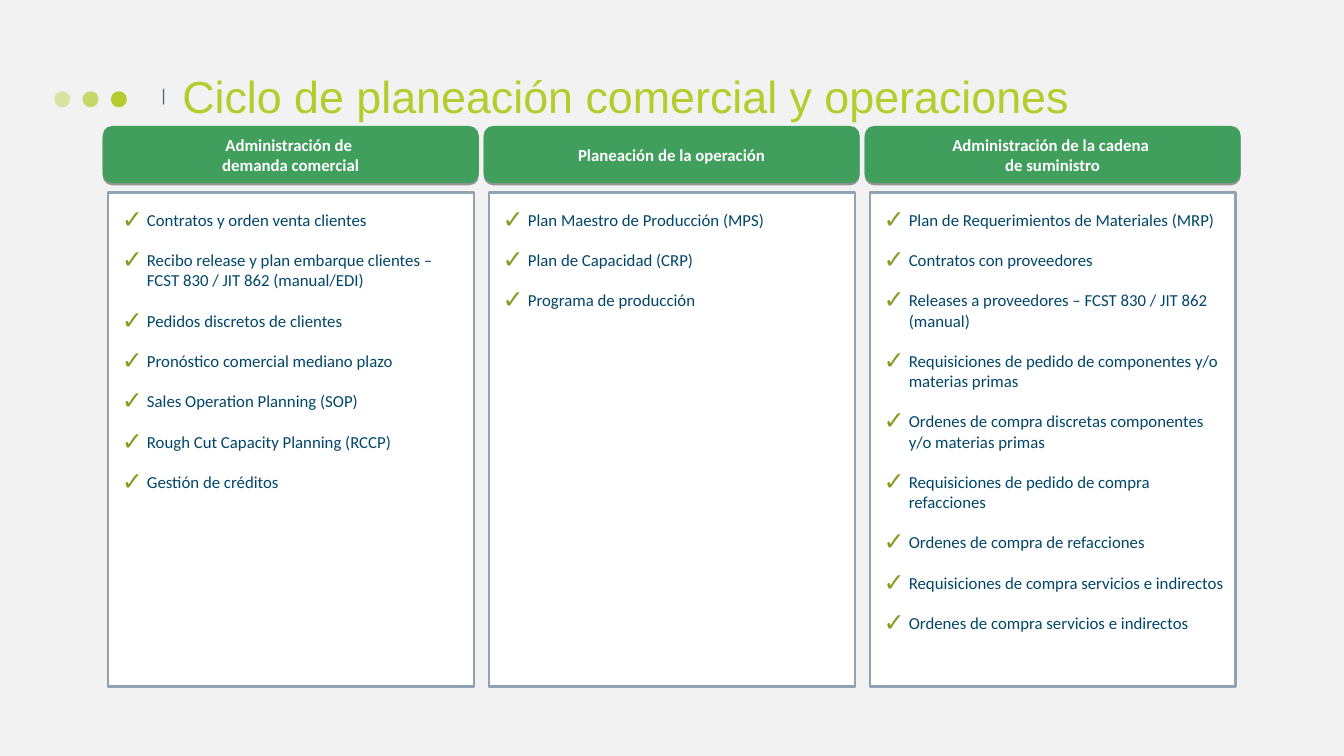
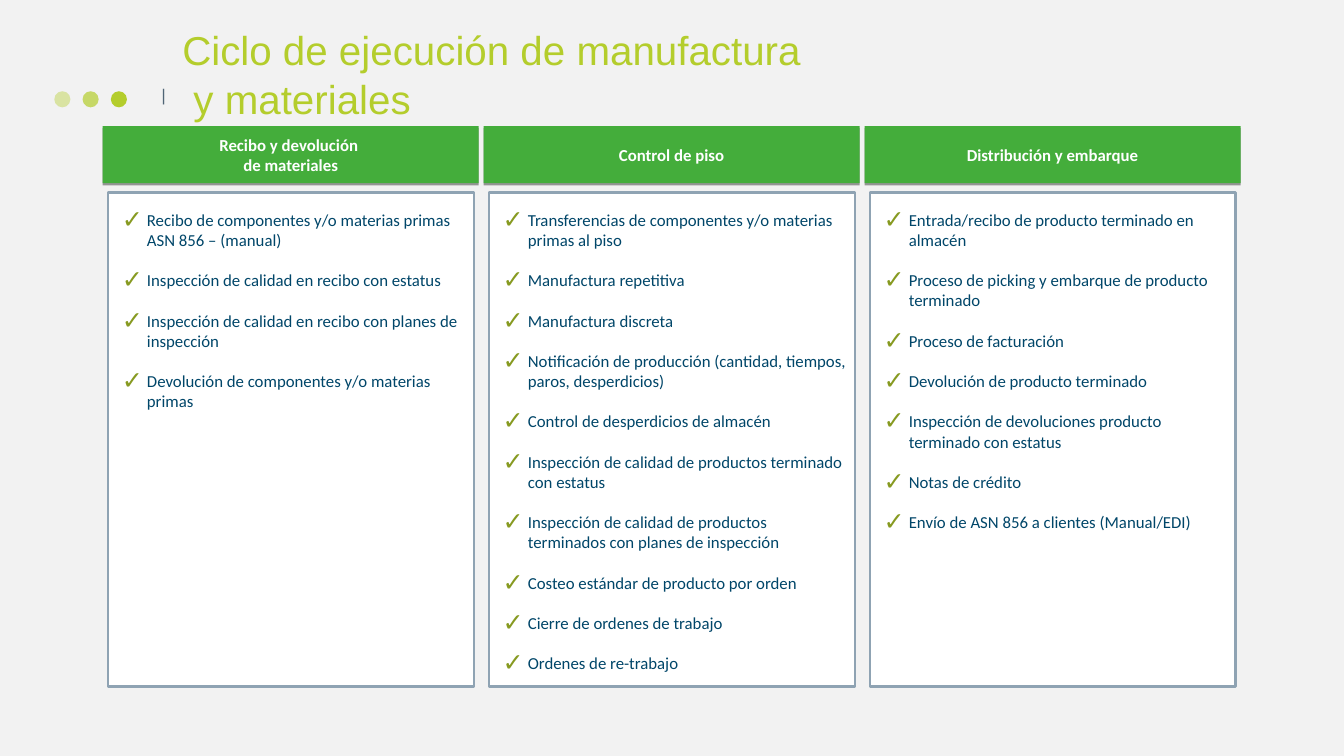
from dataclasses import dataclass

from lxml import etree
from pptx import Presentation
from pptx.dml.color import RGBColor
from pptx.enum.shapes import MSO_SHAPE
from pptx.enum.text import MSO_ANCHOR, MSO_AUTO_SIZE, PP_ALIGN
from pptx.oxml.ns import qn
from pptx.shapes.autoshape import Shape
from pptx.slide import Slide
from pptx.text.text import TextFrame
from pptx.util import Pt

OVAL, RECTANGLE, ROUNDED = MSO_SHAPE.OVAL, MSO_SHAPE.RECTANGLE, MSO_SHAPE.ROUNDED_RECTANGLE
TOP, MIDDLE, BOTTOM = MSO_ANCHOR.TOP, MSO_ANCHOR.MIDDLE, MSO_ANCHOR.BOTTOM
CENTER = PP_ALIGN.CENTER
GROW = MSO_AUTO_SIZE.SHAPE_TO_FIT_TEXT

# Colours and fonts
BACKGROUND = RGBColor(0xF2, 0xF2, 0xF2)
LIME = RGBColor(0xB4, 0xCD, 0x2C)
SLATE = RGBColor(0x50, 0x65, 0x76)
WHITE = RGBColor(0xFF, 0xFF, 0xFF)
PANEL_LINE = RGBColor(0x8F, 0xA3, 0xB3)
NAVY = RGBColor(0x00, 0x46, 0x69)
OLIVE = RGBColor(0x87, 0x9A, 0x21)
BLACK = RGBColor(0x00, 0x00, 0x00)
PLANNING_GREEN = RGBColor(0x41, 0x9F, 0x5D)
EXECUTION_GREEN = RGBColor(0x44, 0xAD, 0x3B)
TITLE_FONT, BODY_FONT, MARK_FONT = "Arial", "Calibri", "Roboto"

# Grid, in points
COLUMN_LEFT, COLUMN_PITCH = 73.4, 272.1
HEADER_TOP, HEADER_WIDTH, HEADER_HEIGHT = 90, 268.6, 40.8
PANEL_OFFSET, PANEL_TOP, PANEL_WIDTH, PANEL_HEIGHT = 3.8, 137.5, 261.4, 353
LIST_OFFSET, LIST_TOP, LIST_WIDTH, LIST_HEIGHT = 10, 149.6, 249.8, 334
DOT_LEFT, DOT_TOP, DOT_SIZE, DOT_PITCH = 38.8, 65.2, 11.5, 20.2
DOT_OPACITIES = (40, 70, 100)
BODY_SIZE, ITEM_GAP, ITEM_INDENT = 12, 14.4, 18


@dataclass(frozen=True)
class Column:
    heading: str
    items: tuple[str, ...]


@dataclass(frozen=True)
class Cycle:
    title: str
    title_size: float
    header_shape: MSO_SHAPE
    header_color: RGBColor
    columns: tuple[Column, ...]


CYCLES = (
    Cycle("Ciclo de planeación comercial y operaciones", 32, ROUNDED, PLANNING_GREEN, (
        Column("Administración de \ndemanda comercial", (
            "Contratos y orden venta clientes",
            "Recibo release y plan embarque clientes – FCST 830 / JIT 862 (manual/EDI)",
            "Pedidos discretos de clientes",
            "Pronóstico comercial mediano plazo",
            "Sales Operation Planning (SOP)",
            "Rough Cut Capacity Planning (RCCP)",
            "Gestión de créditos",
        )),
        Column("Planeación de la operación", (
            "Plan Maestro de Producción (MPS)",
            "Plan de Capacidad (CRP)",
            "Programa de producción",
        )),
        Column("Administración de la cadena \nde suministro", (
            "Plan de Requerimientos de Materiales (MRP)",
            "Contratos con proveedores",
            "Releases a proveedores – FCST 830 / JIT 862 (manual)",
            "Requisiciones de pedido de componentes y/o materias primas",
            "Ordenes de compra discretas componentes y/o materias primas",
            "Requisiciones de pedido de compra refacciones",
            "Ordenes de compra de refacciones",
            "Requisiciones de compra servicios e indirectos",
            "Ordenes de compra servicios e indirectos",
        )),
    )),
    Cycle("Ciclo de ejecución de manufactura\n y materiales", 28.8, RECTANGLE, EXECUTION_GREEN, (
        Column("Recibo y devolución \nde materiales", (
            "Recibo de componentes y/o materias primas ASN 856 – (manual)",
            "Inspección de calidad en recibo con estatus",
            "Inspección de calidad en recibo con planes de inspección",
            "Devolución de componentes y/o materias primas",
        )),
        Column("Control de piso", (
            "Transferencias de componentes y/o materias primas al piso",
            "Manufactura repetitiva",
            "Manufactura discreta",
            "Notificación de producción (cantidad, tiempos, paros, desperdicios)",
            "Control de desperdicios de almacén",
            "Inspección de calidad de productos terminado con estatus",
            "Inspección de calidad de productos terminados con planes de inspección",
            "Costeo estándar de producto por orden",
            "Cierre de ordenes de trabajo",
            "Ordenes de re-trabajo",
        )),
        Column("Distribución y embarque", (
            "Entrada/recibo de producto terminado en almacén",
            "Proceso de picking y embarque de producto terminado",
            "Proceso de facturación",
            "Devolución de producto terminado",
            "Inspección de devoluciones producto terminado con estatus",
            "Notas de crédito",
            "Envío de ASN 856 a clientes (Manual/EDI)",
        )),
    )),
)


def add_element(parent: etree.ElementBase, tag: str, **attributes: str) -> etree.ElementBase:
    return etree.SubElement(parent, qn(tag), attributes)


def add_box(page: Slide, kind: MSO_SHAPE, left: float, top: float, width: float,
            height: float, fill: RGBColor) -> Shape:
    box = page.shapes.add_shape(kind, Pt(left), Pt(top), Pt(width), Pt(height))
    box.shadow.inherit = False
    box.fill.solid()
    box.fill.fore_color.rgb = fill
    box.line.fill.background()
    return box


def add_text(page: Slide, left: float, top: float, width: float, height: float) -> TextFrame:
    box = page.shapes.add_textbox(Pt(left), Pt(top), Pt(width), Pt(height))
    box.text_frame.word_wrap = True
    return box.text_frame


def set_frame(frame: TextFrame, anchor: MSO_ANCHOR, left: float, top: float,
              right: float, bottom: float) -> None:
    frame.vertical_anchor = anchor
    frame.margin_left, frame.margin_top = Pt(left), Pt(top)
    frame.margin_right, frame.margin_bottom = Pt(right), Pt(bottom)


def format_text(frame: TextFrame, font: str, size: float, color: RGBColor,
                bold: bool = False) -> None:
    for para in frame.paragraphs:
        for span in para.runs:
            span.font.name, span.font.size = font, Pt(size)
            span.font.bold = bold
            span.font.color.rgb = color


def add_shadow(box: Shape) -> None:
    effects = box._element.spPr.find(qn("a:effectLst"))
    shadow = add_element(effects, "a:outerShdw", blurRad="0", dist=str(Pt(1.6)),
                         dir="5400000", algn="t", rotWithShape="0")
    color = add_element(shadow, "a:srgbClr", val=str(BLACK))
    add_element(color, "a:alpha", val="38000")


def add_title_band(page: Slide, cycle: Cycle) -> None:
    # Three dots, from pale to solid
    for index, opacity in enumerate(DOT_OPACITIES):
        dot = add_box(page, OVAL, DOT_LEFT + index * DOT_PITCH, DOT_TOP,
                      DOT_SIZE, DOT_SIZE, LIME)
        color = dot._element.spPr.find(qn("a:solidFill")).find(qn("a:srgbClr"))
        add_element(color, "a:alpha", val=str(opacity * 1000))

    # Separator
    frame = add_text(page, 115.2, 63.4, 5.8, 11.5)
    frame.text = "|"
    frame.auto_size = GROW
    set_frame(frame, TOP, 7.2, 3.6, 7.2, 0)
    frame.paragraphs[0].line_spacing = 0.5
    format_text(frame, MARK_FONT, 13.3, SLATE)

    # Title
    frame = add_text(page, 123.1, 23.8, 755.3, 67)
    frame.paragraphs[0].text = cycle.title
    set_frame(frame, BOTTOM, 7.2, 3.6, 7.2, 3.6)
    format_text(frame, TITLE_FONT, cycle.title_size, LIME)


def add_checklist(page: Slide, left: float, items: tuple[str, ...]) -> None:
    frame = add_text(page, left, LIST_TOP, LIST_WIDTH, LIST_HEIGHT)
    frame.text = "\n".join(items)
    set_frame(frame, TOP, 3.6, 0, 0.7, 0)
    format_text(frame, BODY_FONT, BODY_SIZE, NAVY)
    for index, para in enumerate(frame.paragraphs):
        para.space_before = Pt(ITEM_GAP if index else 0)
        properties = para._p.get_or_add_pPr()
        properties.set("marL", str(Pt(ITEM_INDENT)))
        properties.set("indent", str(-Pt(ITEM_INDENT)))
        bullet_color = add_element(properties, "a:buClr")
        add_element(bullet_color, "a:srgbClr", val=str(OLIVE))
        add_element(properties, "a:buSzPct", val="150000")
        add_element(properties, "a:buFont", typeface=TITLE_FONT)
        add_element(properties, "a:buChar", char="✓")


def add_column(page: Slide, left: float, column: Column, cycle: Cycle) -> None:
    # Panel
    panel = add_box(page, RECTANGLE, left + PANEL_OFFSET, PANEL_TOP,
                    PANEL_WIDTH, PANEL_HEIGHT, WHITE)
    panel.line.color.rgb = PANEL_LINE
    panel.line.width = Pt(2)

    # Header
    header = add_box(page, cycle.header_shape, left, HEADER_TOP,
                     HEADER_WIDTH, HEADER_HEIGHT, cycle.header_color)
    add_shadow(header)
    frame = header.text_frame
    frame.text = column.heading
    set_frame(frame, MIDDLE, 0.7, 0.7, 0.7, 0.7)
    for para in frame.paragraphs:
        para.alignment = CENTER
    format_text(frame, BODY_FONT, BODY_SIZE, WHITE, bold=True)

    add_checklist(page, left + LIST_OFFSET, column.items)


def main() -> None:
    deck = Presentation()
    deck.slide_width, deck.slide_height = Pt(960), Pt(540)
    blank = deck.slide_layouts[6]
    for cycle in CYCLES:
        page = deck.slides.add_slide(blank)
        page.background.fill.solid()
        page.background.fill.fore_color.rgb = BACKGROUND
        add_title_band(page, cycle)
        for index, column in enumerate(cycle.columns):
            add_column(page, COLUMN_LEFT + index * COLUMN_PITCH, column, cycle)
    deck.save("out.pptx")


if __name__ == "__main__":
    main()
